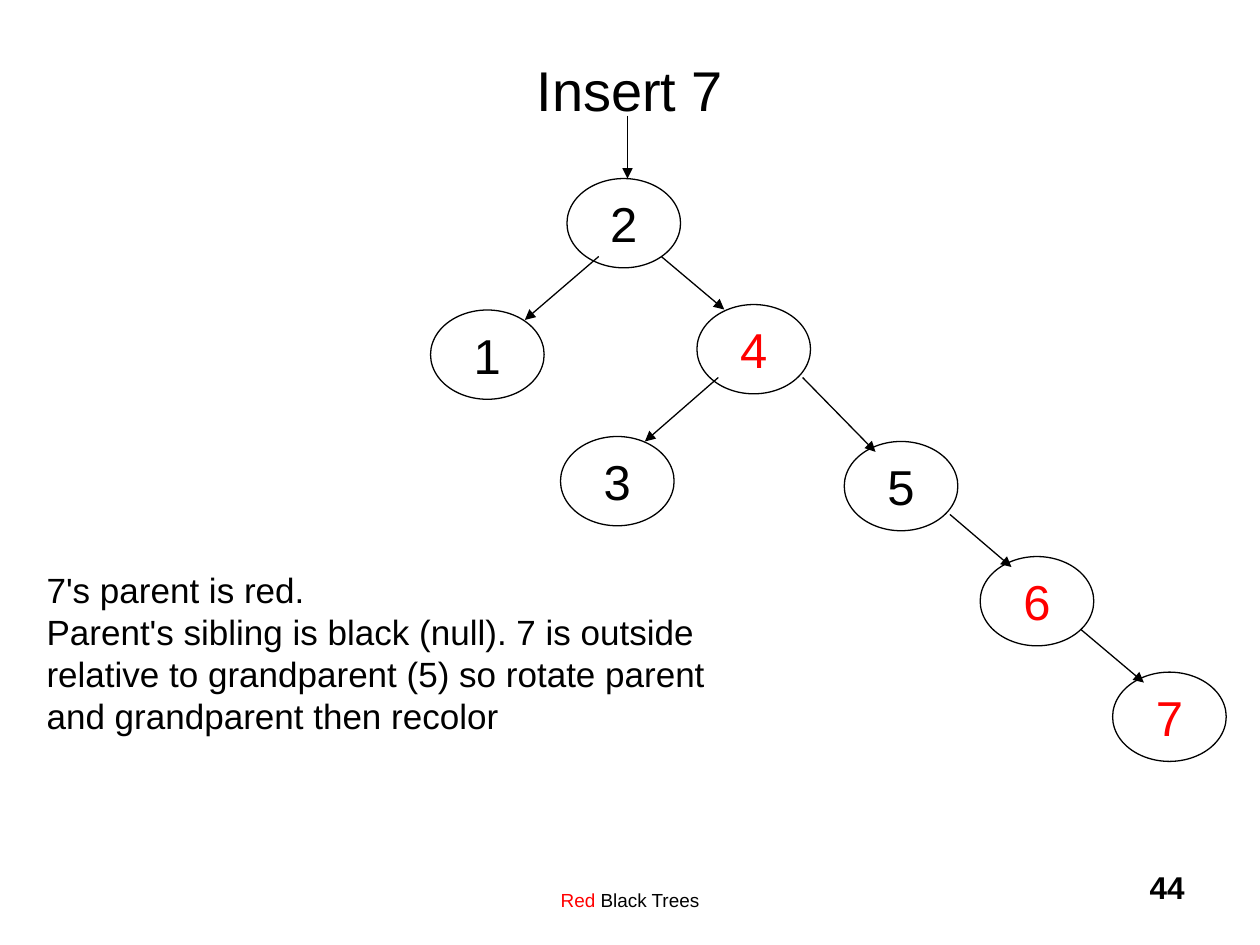
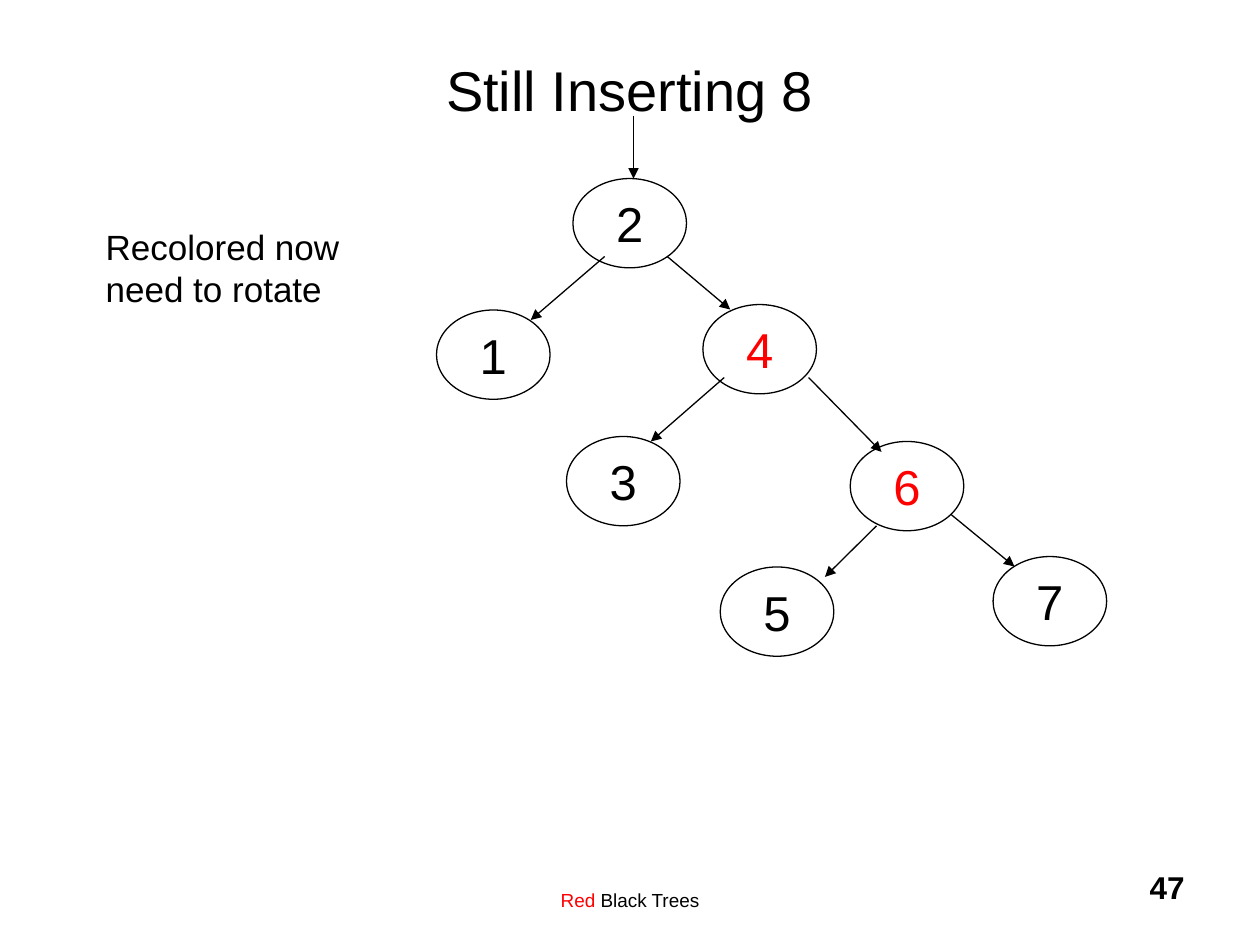
import dataclasses
import typing

import lxml.etree
import pptx
import pptx.dml.color
import pptx.enum.shapes
import pptx.enum.text
import pptx.oxml.ns
import pptx.util

Cm = pptx.util.Cm
Pt = pptx.util.Pt
Align = pptx.enum.text.PP_ALIGN
Anchor = pptx.enum.text.MSO_ANCHOR
Point = tuple[float, float]
Box = tuple[float, float, float, float]


@dataclasses.dataclass(frozen=True)
class Theme:
    font: str = "Arial"
    black: str = "000000"
    red: str = "FF0000"
    title: float = 32
    node: float = 28
    note: float = 20
    page: float = 18
    foot: float = 10.8
    line: float = 0.75


@dataclasses.dataclass(frozen=True)
class Node:
    label: str
    spot: Point
    red: bool = False
    over: str = ""         # label of the parent node
    out: Point = (0, 0)    # arrow start, measured from the parent
    tip: Point = (0, 0)    # arrow end, measured from this node


class Run(typing.NamedTuple):
    text: str
    size: float
    color: str
    bold: bool = False


class Page(typing.NamedTuple):
    title: str
    number: str
    shift: float
    nodes: list[Node]
    note: list[str]
    place: Box


THEME = Theme()
SIZE = (2.29, 1.8)
ENTRY = (1.22, 1.27)    # offset and length of the arrow into the root
RIGHT = (17.02, 8.9)    # right child of node 4
LOW = (2.13, 1.47)

# Nodes that both trees have
TOP = [
    Node("2", (11.43, 3.6)),
    Node("1", (8.68, 6.25), False, "2", (0.64, 1.57), (1.9, 0.2)),
    Node("4", (14.05, 6.14), True, "2", (1.9, 1.57), (0.55, 0.1)),
    Node("3", (11.3, 8.8), False, "4", (0.43, 1.47), (1.7, 0.1)),
]

PAGES = [
    Page("Insert 7", "44", 0, TOP + [
        Node("5", RIGHT, False, "4", LOW, (0.63, 0.21)),
        Node("6", (19.76, 11.22), True, "5", LOW, (0.63, 0.21)),
        Node("7", (22.43, 13.55), True, "6", (2.03, 1.47), (0.63, 0.21)),
    ], [
        "7's parent is red.",
        "Parent's sibling is black (null). 7 is outside relative to "
        "grandparent (5) so rotate parent and grandparent then recolor",
    ], (0.69, 11.33, 13.79, 3.66)),
    Page("Still Inserting 8", "47", 0.12, TOP + [
        Node("6", RIGHT, True, "4", LOW, (0.63, 0.21)),
        Node("5", (14.4, 11.43), False, "6", (0.53, 1.7), (2.11, 0.2)),
        Node("7", (19.9, 11.22), False, "6", (2.03, 1.47), (0.43, 0.2)),
    ], ["Recolored now", "need to rotate"], (1.88, 4.42, 5.4, 1.96)),
]


def apply(target: typing.Any, values: dict[str, typing.Any]) -> None:
    for name, value in values.items():
        setattr(target, name, value)


def rgb(color: str) -> pptx.dml.color.RGBColor:
    return pptx.dml.color.RGBColor.from_string(color)


def write(frame: typing.Any, runs: list[Run], align: typing.Any,
          split: bool = False) -> None:
    """Put the runs in the first paragraph, with line breaks if split."""
    para = frame.paragraphs[0]
    para.alignment = align
    for index, item in enumerate(runs):
        if split and index:
            para.add_line_break()
        run = para.add_run()
        run.text = item.text
        apply(run.font, {"name": THEME.font, "size": Pt(item.size),
                         "bold": item.bold})
        run.font.color.rgb = rgb(item.color)


def add_text(slide: typing.Any, box: Box, runs: list[Run], align: typing.Any,
             split: bool = False, top: float = 0.13) -> None:
    frame = slide.shapes.add_textbox(*map(Cm, box)).text_frame
    apply(frame, {"word_wrap": True, "margin_top": Cm(top)})
    write(frame, runs, align, split)


def add_arrow(slide: typing.Any, start: Point, end: Point) -> None:
    kind = pptx.enum.shapes.MSO_CONNECTOR.STRAIGHT
    arrow = slide.shapes.add_connector(kind, *map(Cm, start + end))
    arrow.line.color.rgb = rgb(THEME.black)
    arrow.line.width = Pt(THEME.line)
    qn = pptx.oxml.ns.qn
    props = arrow.element.spPr
    lxml.etree.SubElement(props.find(qn("a:ln")), qn("a:tailEnd"),
                          type="triangle")
    lxml.etree.SubElement(props, qn("a:effectLst"))


def add_node(slide: typing.Any, node: Node, spot: Point) -> None:
    kind = pptx.enum.shapes.MSO_SHAPE.OVAL
    oval = slide.shapes.add_shape(kind, *map(Cm, spot + SIZE))
    oval.shadow.inherit = False
    oval.fill.background()
    oval.line.color.rgb = rgb(THEME.black)
    oval.line.width = Pt(THEME.line)
    frame = oval.text_frame
    apply(frame, {"margin_left": 0, "margin_right": 0, "margin_top": 0,
                  "margin_bottom": 0, "vertical_anchor": Anchor.MIDDLE,
                  "word_wrap": False})
    color = THEME.red if node.red else THEME.black
    write(frame, [Run(node.label, THEME.node, color)], Align.CENTER)


def add_tree(slide: typing.Any, nodes: list[Node], shift: float) -> None:
    spots = {n.label: (n.spot[0] + shift, n.spot[1]) for n in nodes}
    for node in nodes:
        x, y = spots[node.label]
        add_node(slide, node, (x, y))
        if node.over:
            px, py = spots[node.over]
            add_arrow(slide, (px + node.out[0], py + node.out[1]),
                      (x + node.tip[0], y + node.tip[1]))
        else:
            add_arrow(slide, (x + ENTRY[0], y - ENTRY[1]), (x + ENTRY[0], y))


def add_frame(slide: typing.Any, page: Page) -> None:
    """Title, footer and page number."""
    title = slide.shapes.title
    apply(title, {"left": Cm(1.9), "top": Cm(0.2),
                  "width": Cm(21.6), "height": Cm(3.18)})
    title.text_frame.vertical_anchor = Anchor.MIDDLE
    write(title.text_frame, [Run(page.title, THEME.title, THEME.black)],
          Align.CENTER)
    add_text(slide, (7.83, 17.36, 9.74, 1.27),
             [Run("Red", THEME.foot, THEME.red),
              Run(" Black Trees", THEME.foot, THEME.black)],
             Align.CENTER, top=0.56)
    add_text(slide, (18.84, 17.36, 5.29, 1.27),
             [Run(page.number, THEME.page, THEME.black, True)], Align.RIGHT)


def main() -> None:
    deck = pptx.Presentation()
    apply(deck, {"slide_width": Cm(25.4), "slide_height": Cm(19.05)})
    for page in PAGES:
        slide = deck.slides.add_slide(deck.slide_layouts[5])
        add_frame(slide, page)
        add_tree(slide, page.nodes, page.shift)
        lines = [Run(text, THEME.note, THEME.black) for text in page.note]
        add_text(slide, page.place, lines, Align.LEFT, split=True)
    deck.save("out.pptx")


if __name__ == "__main__":
    main()
